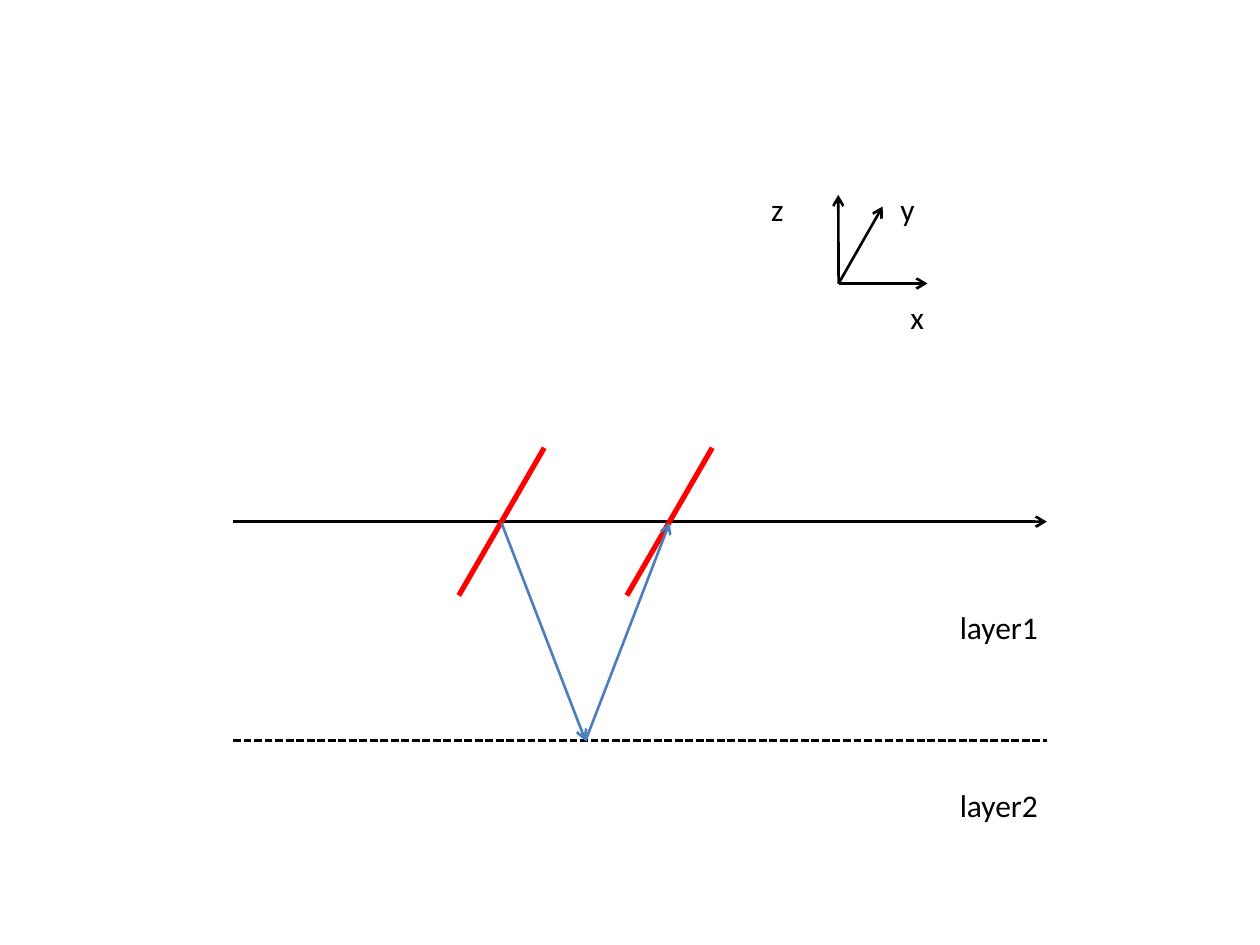
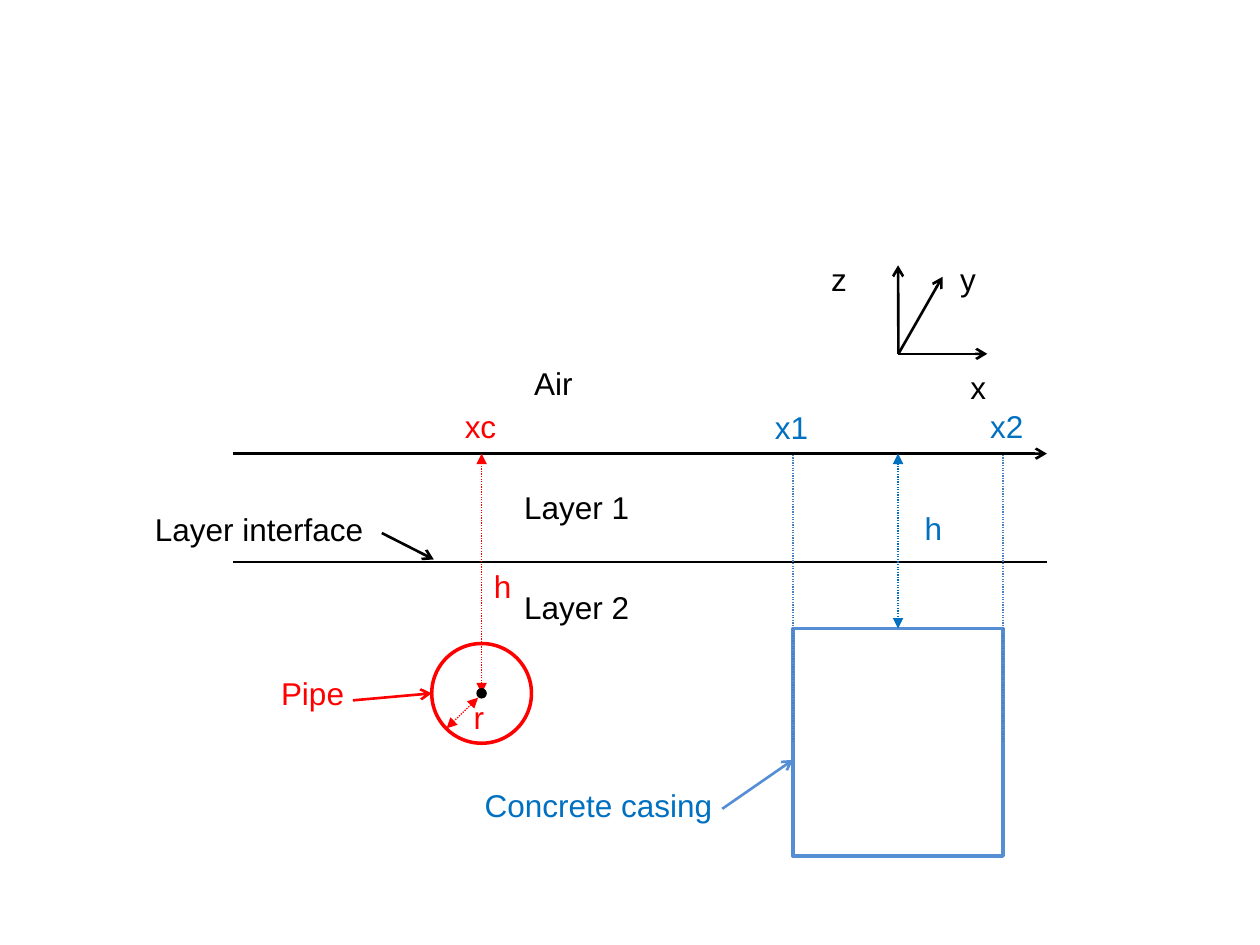
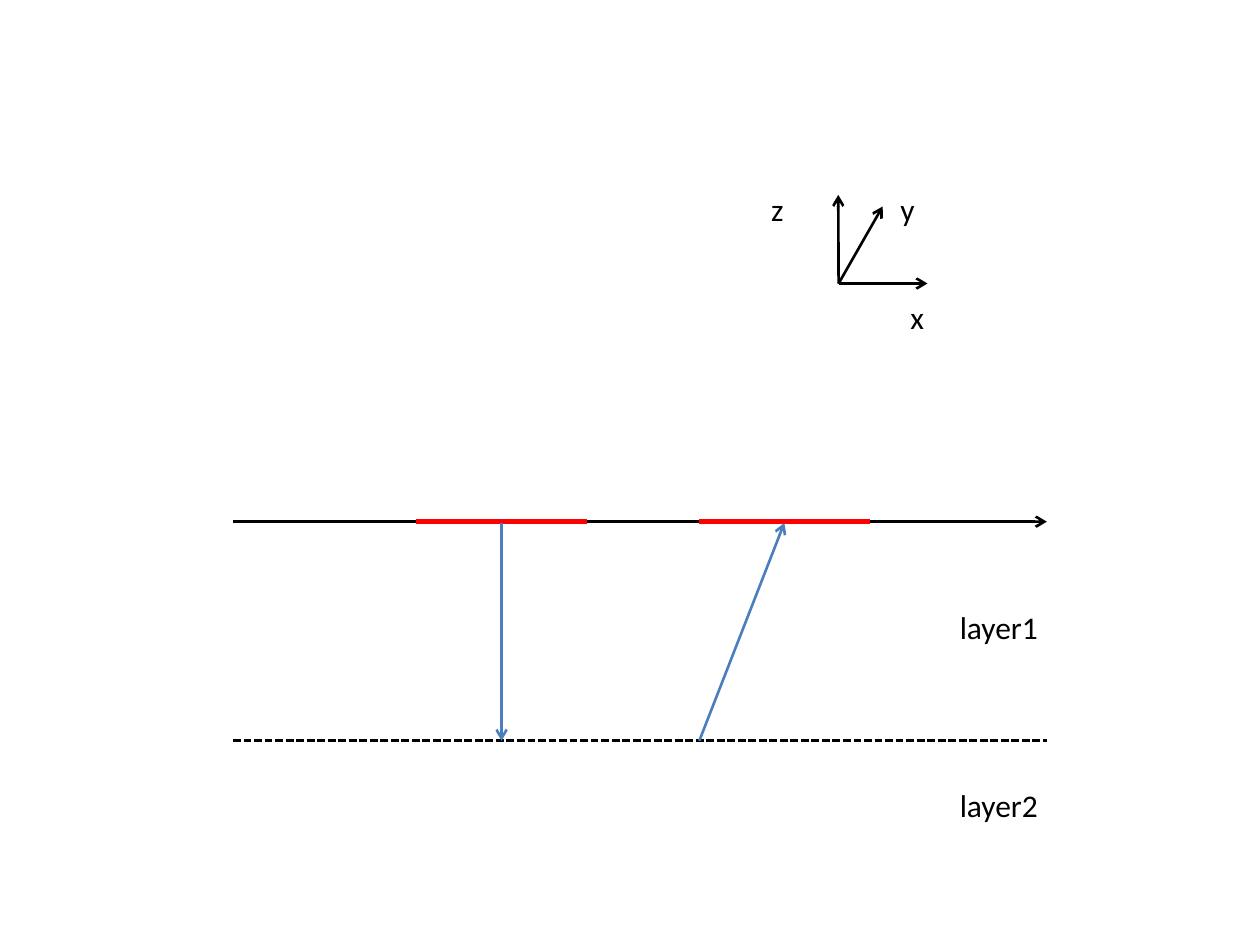
import pptx
import pptx.dml.color
import pptx.enum.dml
import pptx.enum.shapes
import pptx.enum.text
import pptx.oxml.ns
import pptx.util
from lxml import etree

Pt = pptx.util.Pt
DASH = pptx.enum.dml.MSO_LINE
SHAPE = pptx.enum.shapes.MSO_SHAPE
ALIGN = pptx.enum.text.PP_ALIGN

BLACK, RED, BLUE = "000000", "FF0000", "0070C0"
RAY, CASE = "4B7EBC", "558ED5"


def color(code):
    return pptx.dml.color.RGBColor.from_string(code)


def line(slide, start, end, code=BLACK, weight=1.5, dash=None, head=None, tail=None):
    """Draw a straight line; head and tail name the arrowheads at start and end."""
    link = slide.shapes.add_connector(
        pptx.enum.shapes.MSO_CONNECTOR.STRAIGHT, *map(Pt, (*start, *end)))
    link.line.color.rgb = color(code)
    link.line.width = Pt(weight)
    if dash:
        link.line.dash_style = dash
    outline = link.line._get_or_add_ln()
    for tag, kind in (("a:headEnd", head), ("a:tailEnd", tail)):
        if kind:
            etree.SubElement(outline, pptx.oxml.ns.qn(tag), type=kind)
    etree.SubElement(link._element.spPr, pptx.oxml.ns.qn("a:effectLst"))
    return link


def label(slide, text, left, top, width, code=BLACK, font="Arial", align=ALIGN.LEFT):
    box = slide.shapes.add_textbox(Pt(left), Pt(top), Pt(width), Pt(29))
    frame = box.text_frame
    frame.word_wrap = True
    frame.auto_size = pptx.enum.text.MSO_AUTO_SIZE.SHAPE_TO_FIT_TEXT
    para = frame.paragraphs[0]
    para.text = text
    para.alignment = align
    para.font.name = font
    para.font.size = Pt(18)
    para.font.color.rgb = color(code)


def shape(slide, kind, left, top, width, height, fill=None, edge=None):
    item = slide.shapes.add_shape(kind, Pt(left), Pt(top), Pt(width), Pt(height))
    item.shadow.inherit = False
    if fill:
        item.fill.solid()
        item.fill.fore_color.rgb = color(fill)
    else:
        item.fill.background()
    if edge:
        item.line.color.rgb = color(edge)
        item.line.width = Pt(2)
    else:
        item.line.fill.background()
    return item


def axes(slide, left, top, font):
    """Coordinate axes, with their origin at left, top."""
    for name, tip, spot in (
        ("x", (50.8, 0), (34, 4.6)),
        ("y", (25.2, -44), (28.2, -57.2)),
        ("z", (-0.2, -50.6), (-45.6, -57.2)),
    ):
        line(slide, (left, top), (left + tip[0], top + tip[1]), tail="arrow")
        label(slide, name, left + spot[0], top + spot[1], 28, font=font)


def ground(slide, left, top, width, depth, dash=None):
    """Surface arrow and the layer boundary below it."""
    line(slide, (left, top), (left + width, top), tail="arrow")
    line(slide, (left, top + depth), (left + width, top + depth), dash=dash)


def survey(slide, left, top, mids, reach, hits):
    """Two antennas on the surface, with the wave going down and coming back."""
    depth = 125.2
    axes(slide, 479.2, 162, "Calibri")
    ground(slide, left, top, 465, depth, DASH.SQUARE_DOT)
    for mid in mids:
        line(slide, (left + mid + reach[0], top - reach[1]),
             (left + mid - reach[0], top + reach[1]), RED, 3)
    for row, text in ((46, "layer1"), (147.6, "layer2")):
        label(slide, text, left + 408.2, top + row, 96.5, font="Calibri")
    ends = [(left + mid, top + 0.7) for mid in mids]
    down, up = [(left + hit, top + depth) for hit in hits]
    line(slide, ends[0], down, RAY, tail="arrow")
    line(slide, up, ends[1], RAY, tail="arrow")


def site(slide, left, top):
    """Buried pipe and casing below the surface line that starts at left, top."""
    def at(x, y):
        return left + x, top + y

    axes(slide, 513.4, 202.2, "Arial")
    ground(slide, left, top, 465, 62)

    # Casing with its guides and depth
    case = shape(slide, SHAPE.RECTANGLE, *at(320, 100), 120, 130, edge=CASE)
    for x, side in ((320, 1), (440, 3)):
        guide = line(slide, at(x, 165), at(x, 0), RAY, 0.75, DASH.ROUND_DOT)
        guide.begin_connect(case, side)
    span = dict(weight=0.75, dash=DASH.ROUND_DOT, head="triangle", tail="triangle")
    depth = line(slide, at(380, 0), at(380, 100), BLUE, **span)
    depth.end_connect(case, 0)

    # Pipe with its centre, depth and radius
    mid, low, size = 142, 137, 28.5
    shape(slide, SHAPE.OVAL, *at(mid - size, low - size), 2 * size, 2 * size, edge=RED)
    line(slide, at(mid, low), at(mid, 0), RED, **span)
    shape(slide, SHAPE.OVAL, *at(mid - 3, low - 3), 6, 6, fill=BLACK)
    line(slide, at(mid - 2, low + 2.5), at(mid - 20, low + 20), RED, **span)

    # Pointers
    for start, end, code in (
        ((68.5, 141), (mid - size, low), RED),
        ((279.5, 203), (320, 175), CASE),
        ((85, 45.4), (114.7, 60.5), BLACK),
    ):
        line(slide, at(*start), at(*end), code, tail="arrow")

    # Labels
    for text, x, y, code in (
        ("Air", 165, -54.7, BLACK),
        ("Layer 1", 159.2, 16, BLACK),
        ("Layer 2", 159.2, 73.5, BLACK),
        ("h", 388, 28, BLUE),
        ("x1", 302.5, -29.5, BLUE),
        ("x2", 425.5, -30, BLUE),
        ("xc", 125.3, -30, RED),
        ("h", mid, 61.2, RED),
        ("r", 130.4, 136, RED),
    ):
        label(slide, text, *at(x, y), 117 if code == BLACK else 35, code)
    for text, x, y, width, code in (
        ("Pipe", -5.8, 122.5, 76.3, RED),
        ("Concrete casing", 73.5, 186.5, 207.4, BLUE),
        ("Layer interface", -64.8, 28.8, 146.2, BLACK),
    ):
        label(slide, text, *at(x, y), width, code, align=ALIGN.RIGHT)


def main():
    deck = pptx.Presentation()
    deck.slide_width, deck.slide_height = Pt(720), Pt(540)
    first, second, third = [
        deck.slides.add_slide(deck.slide_layouts[6]) for _ in range(3)]
    survey(first, 133.2, 298.1, (153.4, 249.4), (24.4, 42.2), (201.4, 201.4))
    site(second, 133.2, 259.2)
    survey(third, 133.2, 298.1, (153.4, 315), (49, 0), (153.4, 266.4))
    deck.save("out.pptx")


if __name__ == "__main__":
    main()
